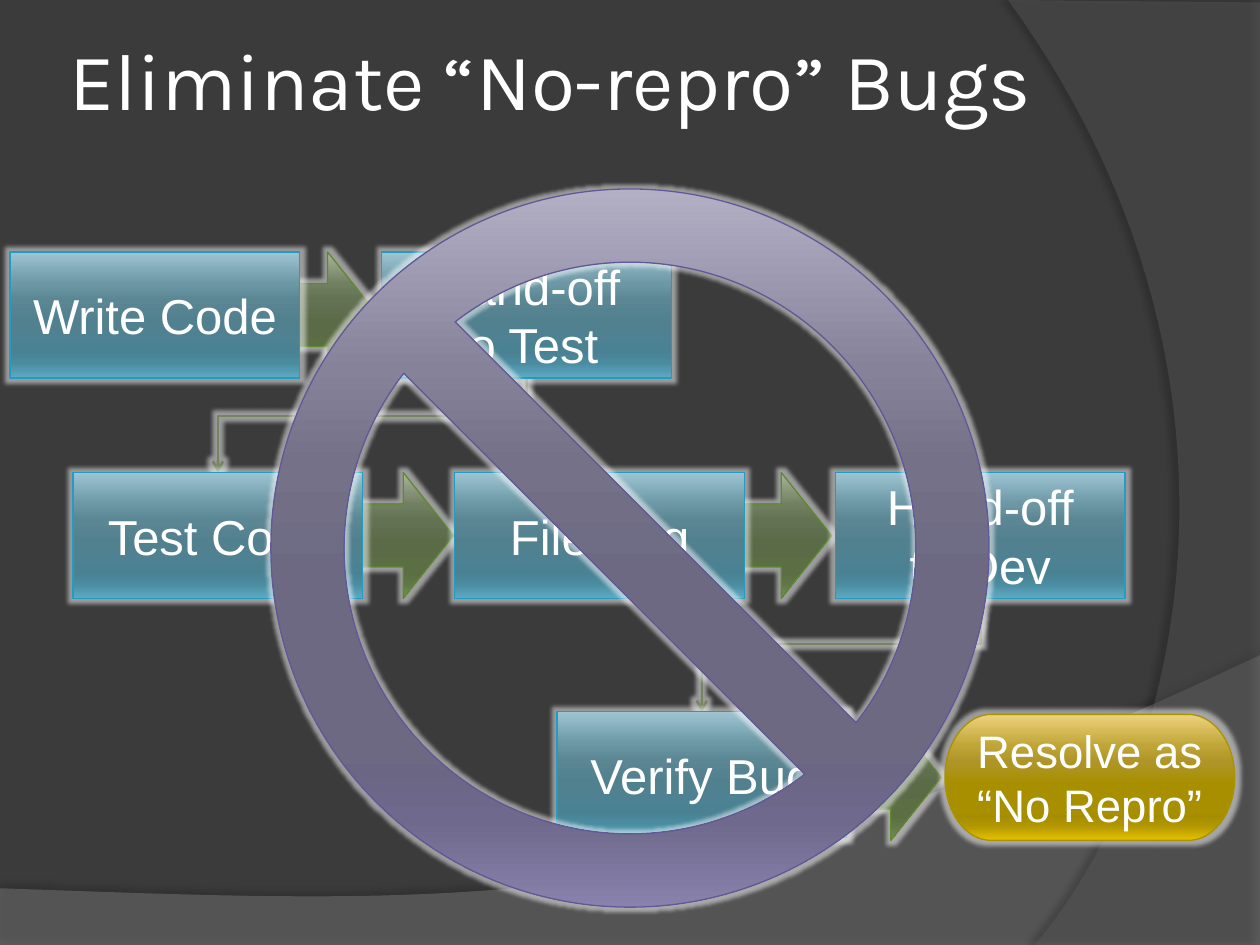
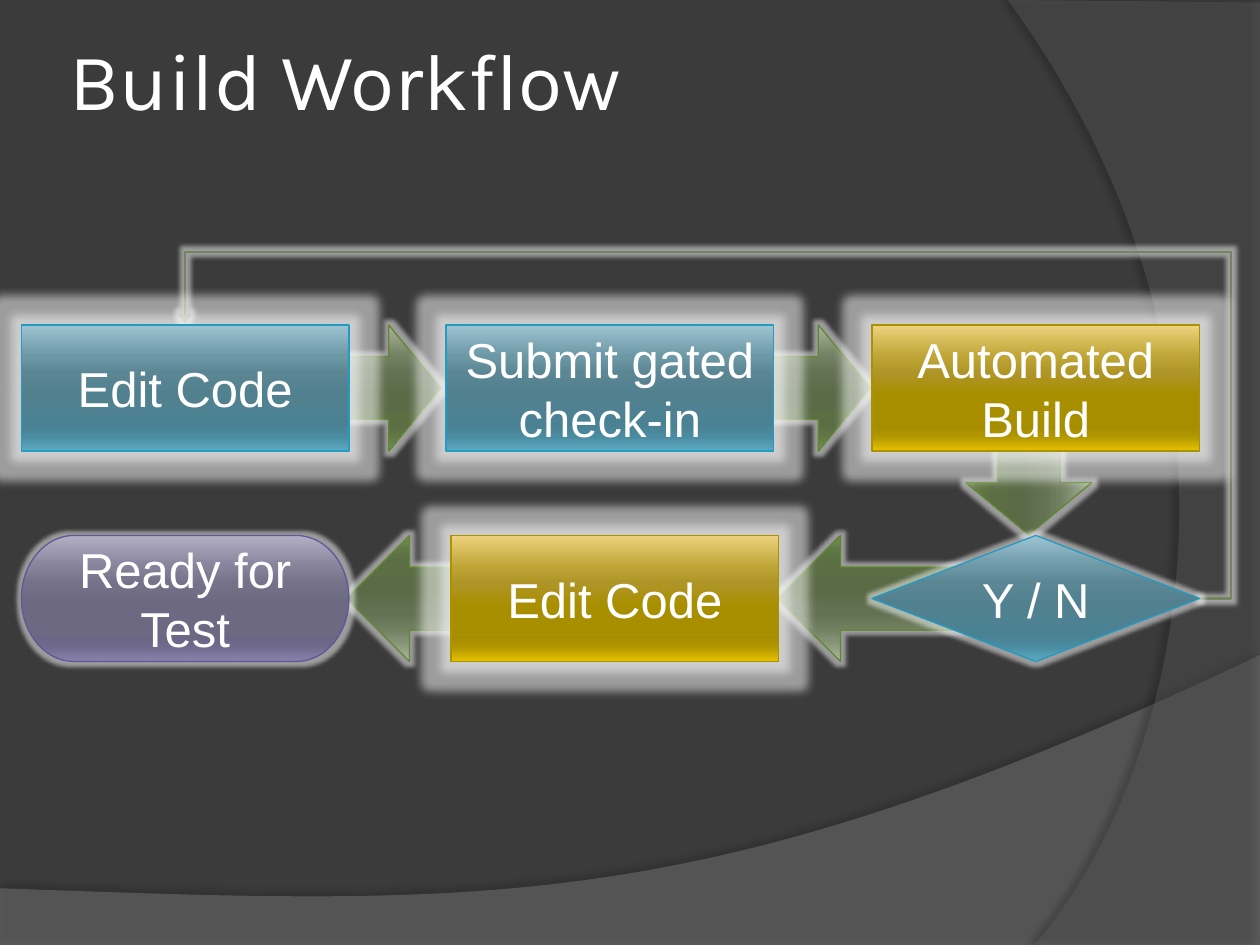
from lxml import etree
from pptx import Presentation
from pptx import util as u
from pptx.dml.color import RGBColor
from pptx.enum import shapes, text
from pptx.oxml.ns import qn

PX = 9144
COLOURS = {
    "ground": "3B3B3B", "floor": "7F7F7F", "side": "5E5E5E",
    "white": "FFFFFF", "black": "000000", "elbow": "748560",
    "green line": "5F882F", "blue line": "239BC2",
    "gold line": "AB9200", "violet line": "625899",
}
STOPS = [0, 25, 38, 55, 80, 88, 100]
GRADIENTS = {
    "green": "A9B59D 728062 647254 5B6B48 5B6E44 607645 769058",
    "blue": "9EC4D2 6C97A5 5B8694 51808F 4A8294 4A8BA0 5DAAC2",
    "gold": "EED27E BFA536 AF9527 A88F00 A68D00 AF9500 E6C100",
    "violet": "B3B0C6 86829A 747188 6D6983 6A6684 6F698D 8982AC",
}
KINDS = shapes.MSO_SHAPE
STEP = KINDS.FLOWCHART_PROCESS
RECT = KINDS.RECTANGLE
END = KINDS.FLOWCHART_TERMINATOR
TITLE_FONT = {"name": "Karla", "size": u.Pt(46)}
LABEL_FONT = {"name": "Arial", "size": u.Pt(28)}


def add_effect(shape, kind, colour, alpha, **measures):
    effects = etree.SubElement(shape.element.spPr, qn("a:effectLst"))
    effect = etree.SubElement(effects, qn(f"a:{kind}"))
    for name, value in measures.items():
        effect.set(name, str(value))
    tint = etree.SubElement(effect, qn("a:srgbClr"), val=COLOURS[colour])
    etree.SubElement(tint, qn("a:alpha"), val=str(alpha * 1000))


def set_font(font, values):
    for name, value in values.items():
        setattr(font, name, value)
    font.color.rgb = RGBColor.from_string(COLOURS["white"])


PAGES = [
    {
        "title": "Eliminate “No-repro” Bugs",
        "arrows": [(220, 200, 80, 0), (280, 375, 80, 0),
                   (580, 375, 80, 0), (667, 567, 80, 0)],
        "box width": 230,
        "boxes": [
            (STEP, 361, 375, "blue", "File Bug"),
            (END, 750, 567, "gold", "Resolve as\n“No Repro”"),
            (STEP, 303, 200, "blue", "Hand-off\vto Test"),
            (STEP, 58, 375, "blue", "Test Code"),
            (STEP, 663, 375, "blue", "Hand-off\vto Dev"),
            (STEP, 442, 565, "blue", "Verify Bug"),
            (STEP, 8, 200, "blue", "Write Code"),
        ],
        "drops": [(418, 300, 173, 375), (778, 475, 557, 565)],
        "returns": [],
        "bans": [(215, 150, 570)],
    },
    {
        "title": "Build Workflow",
        "arrows": [(267, 258, 83, 0), (608, 258, 83, 0), (775, 333, 83, 90),
                   (617, 425, 158, 180), (275, 425, 100, 180)],
        "box width": 260,
        "boxes": [
            (RECT, 17, 258, "blue", "Edit Code"),
            (RECT, 354, 258, "blue", "Submit gated check-in"),
            (RECT, 692, 258, "gold", "Automated Build"),
            (RECT, 358, 425, "gold", "Edit Code"),
            (KINDS.FLOWCHART_DECISION, 692, 425, "blue", "Y / N"),
            (END, 17, 425, "violet", "Ready for Test"),
        ],
        "drops": [],
        "returns": [(952, 475, 147, 258)],
        "bans": [],
    },
]

deck = Presentation()
deck.slide_width, deck.slide_height = 1000 * PX, 750 * PX
ground = deck.slide_master.background.fill
ground.solid()
ground.fore_color.rgb = RGBColor.from_string(COLOURS["ground"])
layout = deck.slide_layouts[5]
slides = [deck.slides.add_slide(layout) for page in PAGES]

BANDS = [
    ("floor", 45, [(0, 705), (0, 750), (1000, 750), (1000, 520)],
     [(559, 729), (391, 719), (0, 705)], (35, 3.5, 270)),
    ("side", 40, [(1000, 2), (1000, 750), (821, 750)],
     [(935, 619), (1018, 300), (800, 0)], (45, 4, 180)),
]
for order, (colour, alpha, corners, bend, shadow) in enumerate(BANDS):
    controls = [corners[-1], *bend]
    points = list(corners)
    for number in range(1, 61):
        t = number / 60
        weights = [(1 - t) ** 3, 3 * t * (1 - t) ** 2, 3 * t * t * (1 - t), t ** 3]
        points.append([sum(weight * control[axis] for weight, control
                           in zip(weights, controls)) for axis in (0, 1)])
    outline = [(round(x * PX), round(y * PX)) for x, y in points]
    builder = slides[0].shapes.build_freeform(*outline[0])
    builder.add_line_segments(outline[1:])
    band = builder.convert_to_shape()
    band.fill.solid()
    band.fill.fore_color.rgb = RGBColor.from_string(COLOURS[colour])
    tint = band.element.spPr.find(qn("a:solidFill"))[0]
    etree.SubElement(tint, qn("a:alpha"), val=str(alpha * 1000))
    band.line.fill.background()
    depth, distance, angle = shadow
    add_effect(band, "outerShdw", "black", depth, blurRad=u.Pt(4),
               dist=u.Pt(distance), dir=angle * 60000)
    layout.shapes.element.insert(2 + order, band.element)

for slide, page in zip(slides, PAGES):
    title = slide.shapes.title
    title.left, title.top, title.width, title.height = 50 * PX, 0, 817 * PX, 125 * PX
    frame = title.text_frame
    frame.text = page["title"]
    frame.word_wrap = True
    frame.vertical_anchor = text.MSO_ANCHOR.MIDDLE
    for side in ("left", "top", "right", "bottom"):
        setattr(frame, f"margin_{side}", 5 * PX)
    para = frame.paragraphs[0]
    para.alignment = text.PP_ALIGN.LEFT
    set_font(para.runs[0].font, TITLE_FONT)

    elbows = []
    for x1, y1, x2, y2 in page["drops"]:
        across, down = x1 - x2, y2 - y1
        left = (x1 + x2 - down) / 2
        top = (y1 + y2 - across) / 2
        ends = (left, top, left + down, top + across)
        elbows.append((ends, 90, "bentConnector3", [40100]))
    for ends in page["returns"]:
        elbows.append((ends, 0, "bentConnector4", [-3100, 126700]))
    for ends, turn, preset, bends in elbows:
        elbow = slide.shapes.add_connector(
            shapes.MSO_CONNECTOR.ELBOW, *[round(end * PX) for end in ends])
        properties = elbow.element.spPr
        properties.find(qn("a:xfrm")).set("rot", str(turn * 60000))
        geometry = properties.find(qn("a:prstGeom"))
        geometry.set("prst", preset)
        for number, bend in enumerate(bends, 1):
            etree.SubElement(geometry.find(qn("a:avLst")), qn("a:gd"),
                             name=f"adj{number}", fmla=f"val {bend}")
        elbow.line.color.rgb = RGBColor.from_string(COLOURS["elbow"])
        elbow.line.width = u.Pt(1.5)
        etree.SubElement(properties.find(qn("a:ln")), qn("a:tailEnd"), type="arrow")
        add_effect(elbow, "glow", "white", 50, rad=u.Pt(5))

    items = [(KINDS.RIGHT_ARROW, x, y, width, 100, "green", "", turn)
             for x, y, width, turn in page["arrows"]]
    items += [(kind, x, y, page["box width"], 100, tone, label, 0)
              for kind, x, y, tone, label in page["boxes"]]
    items += [(KINDS.NO_SYMBOL, x, y, size, size, "violet", "", 0)
              for x, y, size in page["bans"]]
    for kind, x, y, width, height, tone, label, turn in items:
        box = slide.shapes.add_shape(kind, x * PX, y * PX, width * PX, height * PX)
        box.rotation = turn
        if kind == KINDS.NO_SYMBOL:
            box.adjustments[0] = 0.102
        box.fill.gradient()
        box.fill.gradient_angle = 270
        stops = box.element.spPr.find(qn("a:gradFill")).find(qn("a:gsLst"))
        stops.clear()
        for place, colour in zip(STOPS, GRADIENTS[tone].split()):
            stop = etree.SubElement(stops, qn("a:gs"), pos=str(place * 1000))
            etree.SubElement(stop, qn("a:srgbClr"), val=colour)
        box.line.color.rgb = RGBColor.from_string(COLOURS[f"{tone} line"])
        box.line.width = u.Pt(0.75)
        add_effect(box, "glow", "white", 50, rad=u.Pt(11 if kind == RECT else 5))
        if label:
            box.text_frame.text = label
            box.text_frame.word_wrap = True
            for para in box.text_frame.paragraphs:
                para.alignment = text.PP_ALIGN.CENTER
                for span in para.runs:
                    set_font(span.font, LABEL_FONT)
                    if tone == "gold" and kind == END:
                        span.font.size = u.Pt(26)

deck.save("out.pptx")
